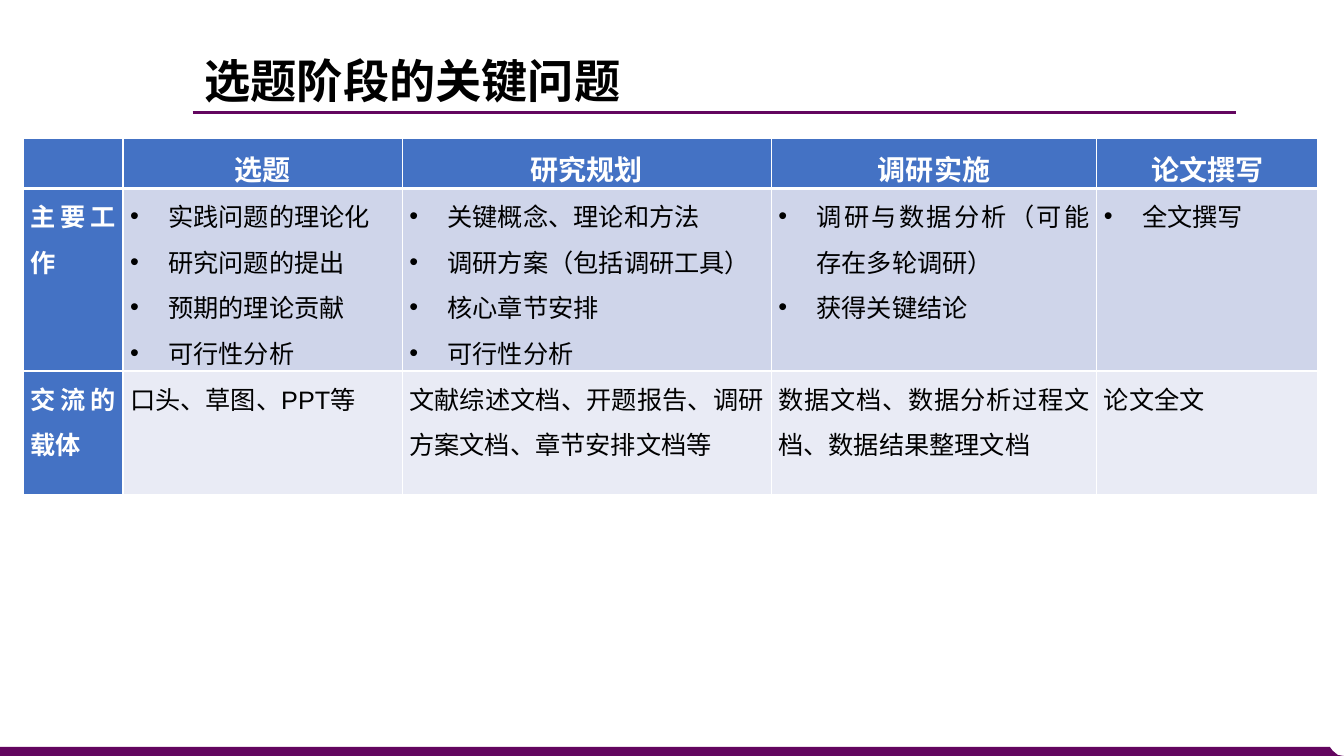
from dataclasses import dataclass

from lxml.etree import SubElement
from pptx import Presentation
from pptx.dml.color import RGBColor
from pptx.enum.shapes import MSO_CONNECTOR
from pptx.enum.text import MSO_ANCHOR, PP_ALIGN
from pptx.oxml import parse_xml
from pptx.oxml.ns import nsdecls, qn
from pptx.util import Inches, Pt


@dataclass(frozen=True)
class Theme:
    accent: str = "63065F"
    ink: str = "000000"
    white: str = "FFFFFF"
    header: str = "4472C4"
    bands: tuple = ("CFD5EA", "E9EBF5")
    latin: str = "Arial"
    chinese: str = "Noto Sans CJK SC"
    title_size: int = 33
    header_size: int = 20
    body_size: int = 18


THEME = Theme()
TITLE = "选题阶段的关键问题"
COLUMN_WIDTHS = (0.99, 2.77, 3.66, 3.23, 2.19)
ROW_HEIGHTS = (0.5, 1.81, 1.23)
HEADINGS = ("", "选题", "研究规划", "调研实施", "论文撰写")
TASKS = (
    "主要工作",
    "实践问题的理论化\n研究问题的提出\n预期的理论贡献\n可行性分析",
    "关键概念、理论和方法\n调研方案（包括调研工具）\n核心章节安排\n可行性分析",
    "调研与数据分析（可能存在多轮调研）\n获得关键结论",
    "全文撰写",
)
CARRIERS = (
    "交流的载体",
    "口头、草图、PPT等",
    "文献综述文档、开题报告、调研方案文档、章节安排文档等",
    "数据文档、数据分析过程文档、数据结果整理文档",
    "论文全文",
)


def color(value):
    return RGBColor.from_string(value)


def style_span(span, size, ink, bold, latin):
    span.font.size = Pt(size)
    span.font.bold = bold
    span.font.color.rgb = color(ink)
    span.font.name = latin
    SubElement(span.font._element, qn("a:ea"), typeface=THEME.chinese)


def add_bullet(para):
    properties = para._p.get_or_add_pPr()
    properties.set("marL", str(Inches(0.38)))
    properties.set("indent", str(-Inches(0.38)))
    SubElement(properties, qn("a:buFont"), typeface=THEME.latin)
    SubElement(properties, qn("a:buChar"), char="•")


def set_borders(cell, row):
    """White rules all round, with a heavier one below the header row."""
    widths = {
        "lnL": 1,
        "lnR": 1,
        "lnT": 3 if row == 1 else 1,
        "lnB": 3 if row == 0 else 1,
    }
    properties = cell._tc.get_or_add_tcPr()
    for position, (side, width) in enumerate(widths.items()):
        properties.insert(position, parse_xml(
            f'<a:{side} {nsdecls("a")} w="{Pt(width)}"><a:solidFill>'
            f'<a:srgbClr val="{THEME.white}"/></a:solidFill></a:{side}>'))


def fill_cell(cell, text, row, column):
    is_label = row == 0 or column == 0
    cell.fill.solid()
    cell.fill.fore_color.rgb = color(THEME.header if is_label else THEME.bands[row - 1])
    set_borders(cell, row)
    if not text:
        return
    cell.margin_left = cell.margin_right = Inches(0.07)
    cell.margin_top = cell.margin_bottom = 0
    cell.text_frame.text = text
    for para in cell.text_frame.paragraphs:
        para.alignment = PP_ALIGN.JUSTIFY if row else PP_ALIGN.CENTER
        para.line_spacing = 1.25
        if row == 1 and column:
            add_bullet(para)
        for span in para.runs:
            style_span(span, THEME.body_size if row else THEME.header_size,
                       THEME.white if is_label else THEME.ink, is_label, THEME.latin)


def add_stage_table(page, left, top):
    rows = (HEADINGS, TASKS, CARRIERS)
    frame = page.shapes.add_table(len(rows), len(HEADINGS), Inches(left), Inches(top),
                                  Inches(sum(COLUMN_WIDTHS)), Inches(sum(ROW_HEIGHTS)))
    table = frame.table
    for column, column_width in zip(table.columns, COLUMN_WIDTHS):
        column.width = Inches(column_width)
    for row, row_height in zip(table.rows, ROW_HEIGHTS):
        row.height = Inches(row_height)
    for row, texts in enumerate(rows):
        for column, text in enumerate(texts):
            fill_cell(table.cell(row, column), text, row, column)


def add_title(page, left, top, width, height):
    box = page.shapes.add_textbox(Inches(left), Inches(top), Inches(width), Inches(height))
    box.text_frame.word_wrap = True
    box.text_frame.vertical_anchor = MSO_ANCHOR.MIDDLE
    para = box.text_frame.paragraphs[0]
    para.text = TITLE
    para.line_spacing = 0.9
    style_span(para.runs[0], THEME.title_size, THEME.ink, True, THEME.chinese)


def add_title_rule(page, left, top, width):
    rule = page.shapes.add_connector(MSO_CONNECTOR.STRAIGHT, Inches(left), Inches(top),
                                     Inches(left + width), Inches(top))
    rule.line.color.rgb = color(THEME.accent)
    rule.line.width = Pt(2.25)
    SubElement(rule._element.spPr, qn("a:effectLst"))


def add_footer(page, left, top, width, height):
    """Bottom strip whose right end curves down to the page corner."""
    right, bottom = left + width, top + height
    outline = [(right - 0.14, top), (right - 0.11, top + 0.04), (right - 0.06, top + 0.08),
               (right, bottom), (left, bottom)]
    builder = page.shapes.build_freeform(Inches(left), Inches(top))
    builder.add_line_segments([(Inches(x), Inches(y)) for x, y in outline], close=True)
    strip = builder.convert_to_shape()
    strip.shadow.inherit = False
    strip.fill.solid()
    strip.fill.fore_color.rgb = color(THEME.accent)
    strip.line.fill.background()


def main():
    deck = Presentation()
    deck.slide_width, deck.slide_height = Inches(13.33), Inches(7.5)
    page = deck.slides.add_slide(deck.slide_layouts[6])
    page.background.fill.solid()
    page.background.fill.fore_color.rgb = color(THEME.white)
    add_footer(page, 0, 7.41, 13.33, 0.09)
    add_title_rule(page, 1.91, 1.12, 10.35)
    add_title(page, 1.93, 0.56, 7.17, 0.53)
    add_stage_table(page, 0.23, 1.37)
    deck.save("out.pptx")


if __name__ == "__main__":
    main()
